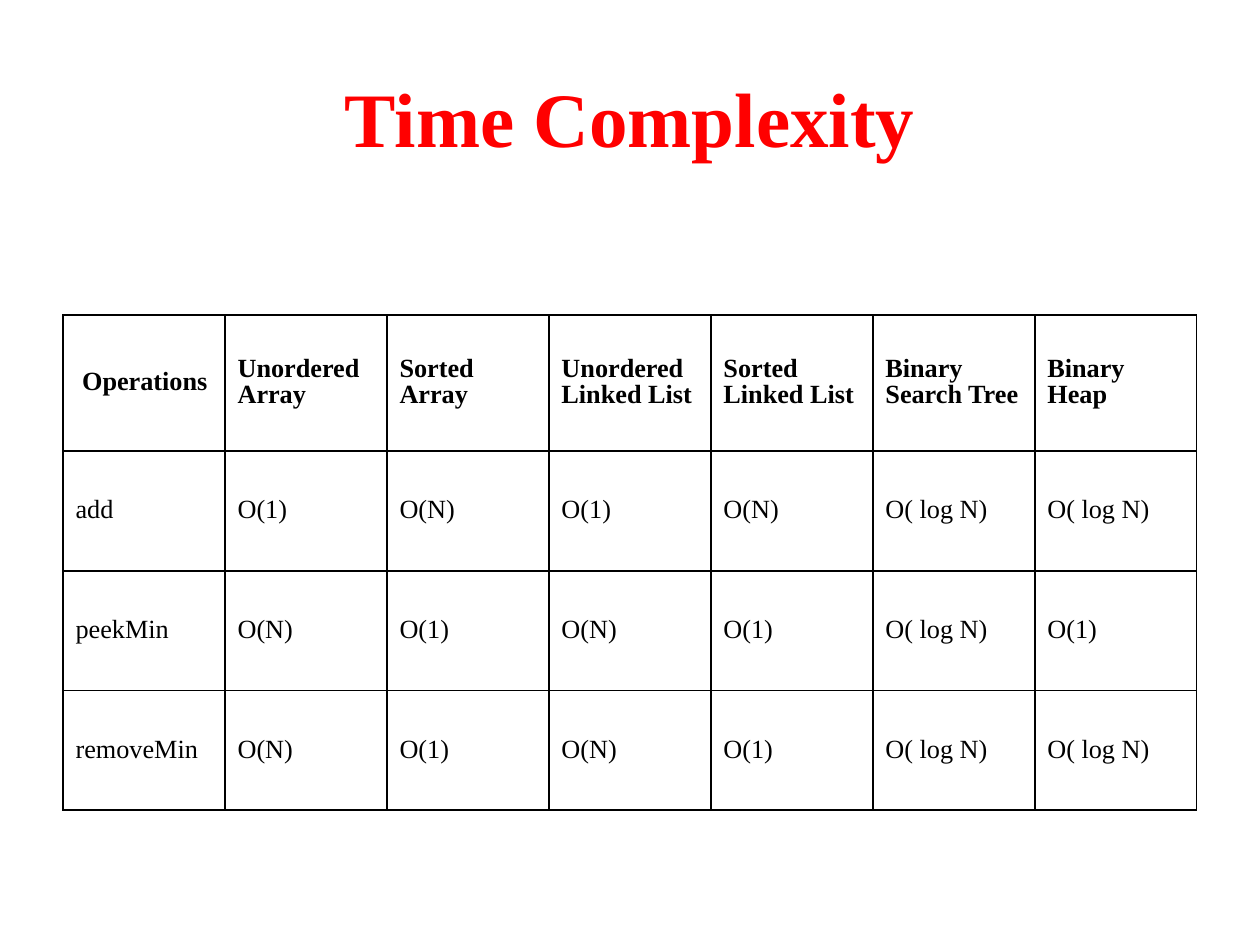
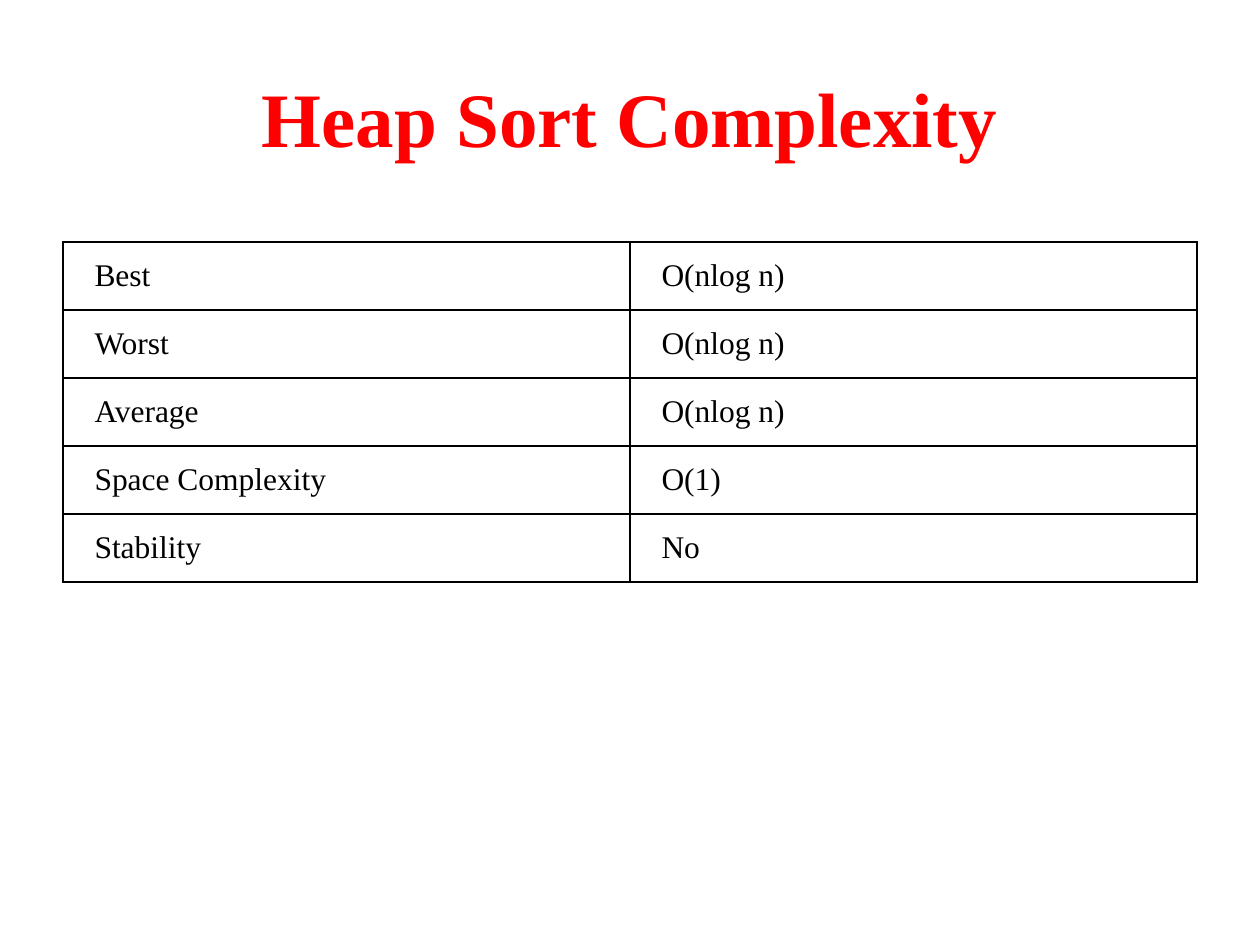
from lxml import etree
from pptx import Presentation
from pptx import util as u
from pptx.dml import color
from pptx.enum import text
from pptx.oxml import ns

COLORS = {"title": "FF0000", "ink": "000000", "border": "000000"}
FONT = "Times New Roman"
LEFT, WIDTH = 0.5, 9

OPERATION_COSTS = [
    [" Operations", "Unordered Array", "Sorted Array", "Unordered Linked List",
     "Sorted Linked List", "Binary Search Tree", "Binary Heap"],
    ["add", "O(1)", "O(N)", "O(1)", "O(N)", "O( log N)", "O( log N)"],
    ["peekMin", "O(N)", "O(1)", "O(N)", "O(1)", "O( log N)", "O(1)"],
    ["removeMin", "O(N)", "O(1)", "O(N)", "O(1)", "O( log N)", "O( log N)"],
]
HEAP_SORT_COSTS = [
    ["Best", "O(nlog n)"],
    ["Worst", "O(nlog n)"],
    ["Average", "O(nlog n)"],
    ["Space Complexity", "O(1)"],
    ["Stability", "No"],
]


def write_text(frame, content, size, ink="ink", bold=False,
               align=text.PP_ALIGN.LEFT, spacing=1.0):
    paragraph = frame.paragraphs[0]
    paragraph.alignment = align
    paragraph.line_spacing = spacing
    run = paragraph.add_run()
    run.text = content
    run.font.name = FONT
    run.font.size = u.Pt(size)
    run.font.bold = bold
    run.font.color.rgb = color.RGBColor.from_string(COLORS[ink])


def add_borders(cell, points=1):
    properties = cell._tc.get_or_add_tcPr()
    for side in ("lnL", "lnR", "lnT", "lnB"):
        line = etree.SubElement(properties, ns.qn(f"a:{side}"), w=str(u.Pt(points)))
        fill = etree.SubElement(line, ns.qn("a:solidFill"))
        etree.SubElement(fill, ns.qn("a:srgbClr"), val=COLORS["border"])


class Deck:
    def __init__(self):
        self.presentation = Presentation()
        self.presentation.slide_width = u.Inches(10)
        self.presentation.slide_height = u.Inches(7.5)
        self.slide = None

    def add_slide(self, title):
        layout = self.presentation.slide_layouts[6]
        self.slide = self.presentation.slides.add_slide(layout)
        self.add_title(title)

    def add_title(self, title):
        shape = self.slide.shapes.add_textbox(
            u.Inches(LEFT), u.Inches(0.3), u.Inches(WIDTH), u.Inches(1.25))
        frame = shape.text_frame
        frame.word_wrap = True
        frame.vertical_anchor = text.MSO_ANCHOR.MIDDLE
        write_text(frame, title, 44, "title", bold=True, align=text.PP_ALIGN.CENTER)

    def add_table(self, rows, top, heights, size, margins, header=False, spacing=1.0):
        columns = len(rows[0])
        table = self.slide.shapes.add_table(
            len(rows), columns, u.Inches(LEFT), u.Inches(top),
            u.Inches(WIDTH), u.Inches(sum(heights))).table
        table.first_row = table.horz_banding = False
        for column in table.columns:
            column.width = u.Inches(WIDTH / columns)
        for row_index, (row, height) in enumerate(zip(rows, heights)):
            table.rows[row_index].height = u.Inches(height)
            for column_index, content in enumerate(row):
                cell = table.cell(row_index, column_index)
                cell.margin_left = cell.margin_right = u.Inches(margins[0])
                cell.margin_top = cell.margin_bottom = u.Inches(margins[1])
                cell.vertical_anchor = text.MSO_ANCHOR.MIDDLE
                add_borders(cell)
                cell.fill.background()
                write_text(cell.text_frame, content, size,
                           bold=header and row_index == 0, spacing=spacing)


def main():
    deck = Deck()
    deck.add_slide("Time Complexity")
    deck.add_table(OPERATION_COSTS, 2.5, [1.08] + [0.95] * 3, 15, (0.1, 0.05),
                   header=True, spacing=0.9)
    deck.add_slide("Heap Sort Complexity")
    deck.add_table(HEAP_SORT_COSTS, 1.92, [0.52] * 5, 18, (0.25, 0.12))
    deck.presentation.save("out.pptx")


if __name__ == "__main__":
    main()
